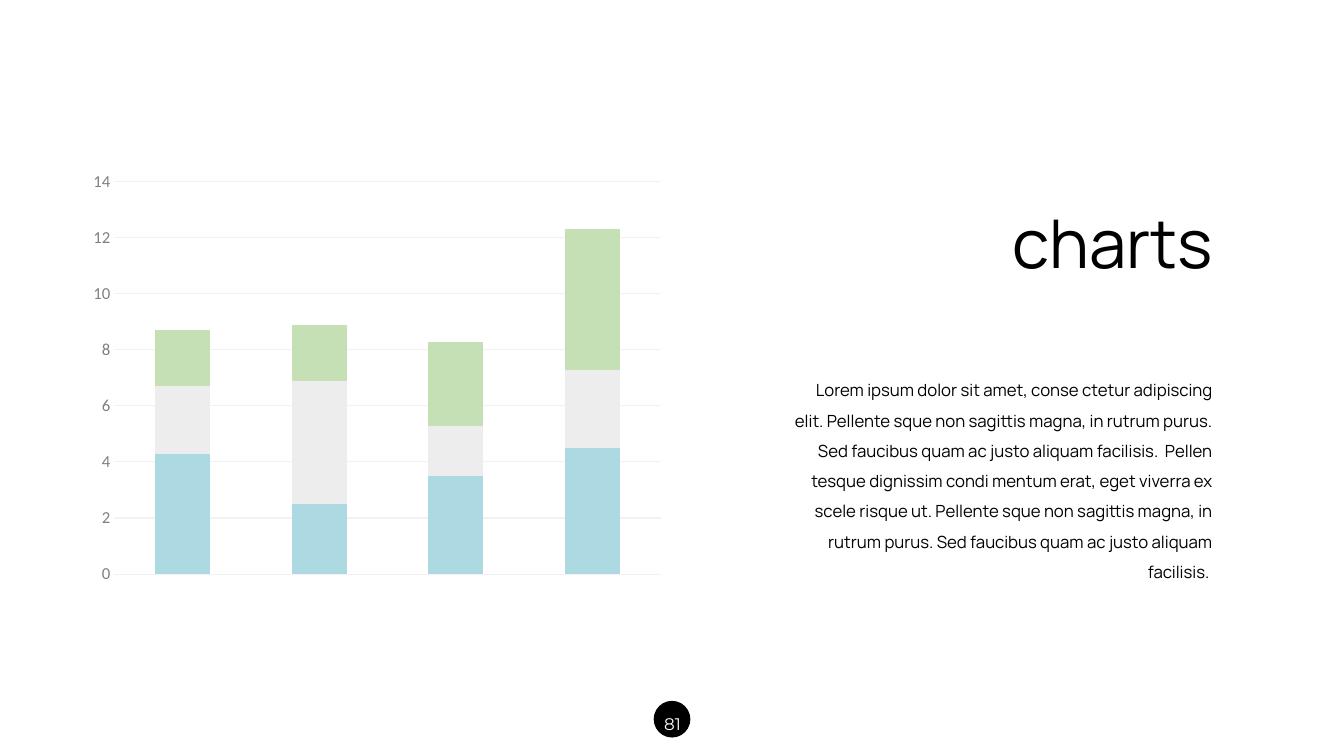
from dataclasses import dataclass

from lxml import etree
from pptx import Presentation
from pptx.chart.data import CategoryChartData
from pptx.dml.color import RGBColor
from pptx.enum.chart import XL_CHART_TYPE, XL_TICK_MARK
from pptx.enum.shapes import MSO_SHAPE
from pptx.enum.text import MSO_ANCHOR, MSO_AUTO_SIZE, PP_ALIGN
from pptx.oxml.ns import qn
from pptx.util import Pt

STACKED = XL_CHART_TYPE.COLUMN_STACKED
NO_TICK = XL_TICK_MARK.NONE
OVAL = MSO_SHAPE.OVAL
TOP = MSO_ANCHOR.TOP
NO_AUTOFIT = MSO_AUTO_SIZE.NONE
CENTER, RIGHT = PP_ALIGN.CENTER, PP_ALIGN.RIGHT

PX = 9144
COLORS = {
    "black": "000000",
    "white": "FFFFFF",
    "axis": "808080",
    "grid": "F2F2F2",
    "blue": "ACD9E2",
    "gray": "EDEDED",
    "green": "C5E0B4",
}
BODY_TEXT = (
    "Lorem ipsum dolor sit amet, conse ctetur adipiscing elit. Pellente sque non "
    "sagittis magna, in rutrum purus. Sed faucibus quam ac justo aliquam facilisis.  "
    "Pellen tesque dignissim condi mentum erat, eget viverra ex scele risque ut. "
    "Pellente sque non sagittis magna, in rutrum purus. Sed faucibus quam ac justo "
    "aliquam facilisis. "
)


@dataclass(frozen=True)
class Box:
    left: int
    top: int
    width: int
    height: int

    def emu(self) -> tuple[int, ...]:
        return tuple(n * PX for n in (self.left, self.top, self.width, self.height))


@dataclass(frozen=True)
class TextStyle:
    font: str
    size: int
    color: str
    align: PP_ALIGN
    spacing: float


@dataclass(frozen=True)
class Series:
    name: str
    color: str
    values: tuple[float, ...]


TITLE_STYLE = TextStyle("Manrope", 48, "black", RIGHT, 1.0)
BODY_STYLE = TextStyle("Manrope", 12, "black", RIGHT, 1.5)
NUMBER_STYLE = TextStyle("Montserrat", 12, "white", CENTER, 1.5)
SERIES = (
    Series("Series 1", "blue", (4.3, 2.5, 3.5, 4.5)),
    Series("Series 2", "gray", (2.4, 4.4, 1.8, 2.8)),
    Series("Series 3", "green", (2, 2, 3, 5)),
)


def rgb(name: str) -> RGBColor:
    return RGBColor.from_string(COLORS[name])


def set_attributes(target, values: dict) -> None:
    for name, value in values.items():
        setattr(target, name, value)


def set_font(font, name: str, size: int, color: str) -> None:
    set_attributes(font, {"name": name, "size": Pt(size), "bold": False})
    font.color.rgb = rgb(color)


def write_text(shape, box: Box, text: str, style: TextStyle) -> None:
    set_attributes(shape, dict(zip(("left", "top", "width", "height"), box.emu())))
    frame = shape.text_frame
    set_attributes(frame, {"word_wrap": True, "auto_size": NO_AUTOFIT, "vertical_anchor": TOP})
    paragraph = frame.paragraphs[0]
    set_attributes(paragraph, {
        "alignment": style.align,
        "line_spacing": style.spacing,
        "space_before": Pt(0),
    })
    run = paragraph.add_run()
    run.text = text
    set_font(run.font, style.font, style.size, style.color)


def remove_bullet(shape) -> None:
    properties = shape.text_frame.paragraphs[0]._p.get_or_add_pPr()
    properties.set("marL", "0")
    properties.set("indent", "0")
    etree.SubElement(properties, qn("a:buNone"))


def add_column_chart(slide, box: Box) -> None:
    data = CategoryChartData()
    data.categories = ["1", "2", "3", "4"]
    for series in SERIES:
        data.add_series(series.name, series.values)
    chart = slide.shapes.add_chart(STACKED, *box.emu(), data).chart
    set_attributes(chart, {"has_legend": False, "has_title": False})
    set_font(chart.font, "Calibri", 10, "black")

    plot = chart.plots[0]
    set_attributes(plot, {"gap_width": 150, "overlap": 100, "vary_by_categories": False})
    for drawn, series in zip(plot.series, SERIES):
        drawn.format.fill.solid()
        drawn.format.fill.fore_color.rgb = rgb(series.color)

    chart.category_axis.visible = False
    axis = chart.value_axis
    set_attributes(axis, {
        "minimum_scale": 0,
        "maximum_scale": 14,
        "major_unit": 2,
        "major_tick_mark": NO_TICK,
        "minor_tick_mark": NO_TICK,
        "has_major_gridlines": True,
    })
    axis.format.line.fill.background()
    set_font(axis.tick_labels.font, "Calibri", 12, "axis")
    grid_line = axis.major_gridlines.format.line
    grid_line.width = Pt(0.75)
    grid_line.color.rgb = rgb("grid")


def add_page_number(slide, number: str) -> None:
    circle = slide.shapes.add_shape(OVAL, *Box(649, 696, 35, 35).emu())
    circle.shadow.inherit = False
    circle.fill.solid()
    circle.fill.fore_color.rgb = rgb("black")
    circle.line.color.rgb = rgb("black")
    circle.line.width = Pt(1)
    box = Box(642, 693, 50, 37)
    write_text(slide.shapes.add_textbox(*box.emu()), box, number, NUMBER_STYLE)


def main() -> None:
    presentation = Presentation()
    set_attributes(presentation, {"slide_width": 1333 * PX, "slide_height": 750 * PX})
    slide = presentation.slides.add_slide(presentation.slide_layouts[1])
    add_page_number(slide, "81")
    add_column_chart(slide, Box(81, 162, 586, 426))
    write_text(slide.shapes.title, Box(884, 195, 329, 91), "charts", TITLE_STYLE)
    body = slide.placeholders[1]
    remove_bullet(body)
    write_text(body, Box(771, 362, 442, 222), BODY_TEXT, BODY_STYLE)
    presentation.save("out.pptx")


if __name__ == "__main__":
    main()
